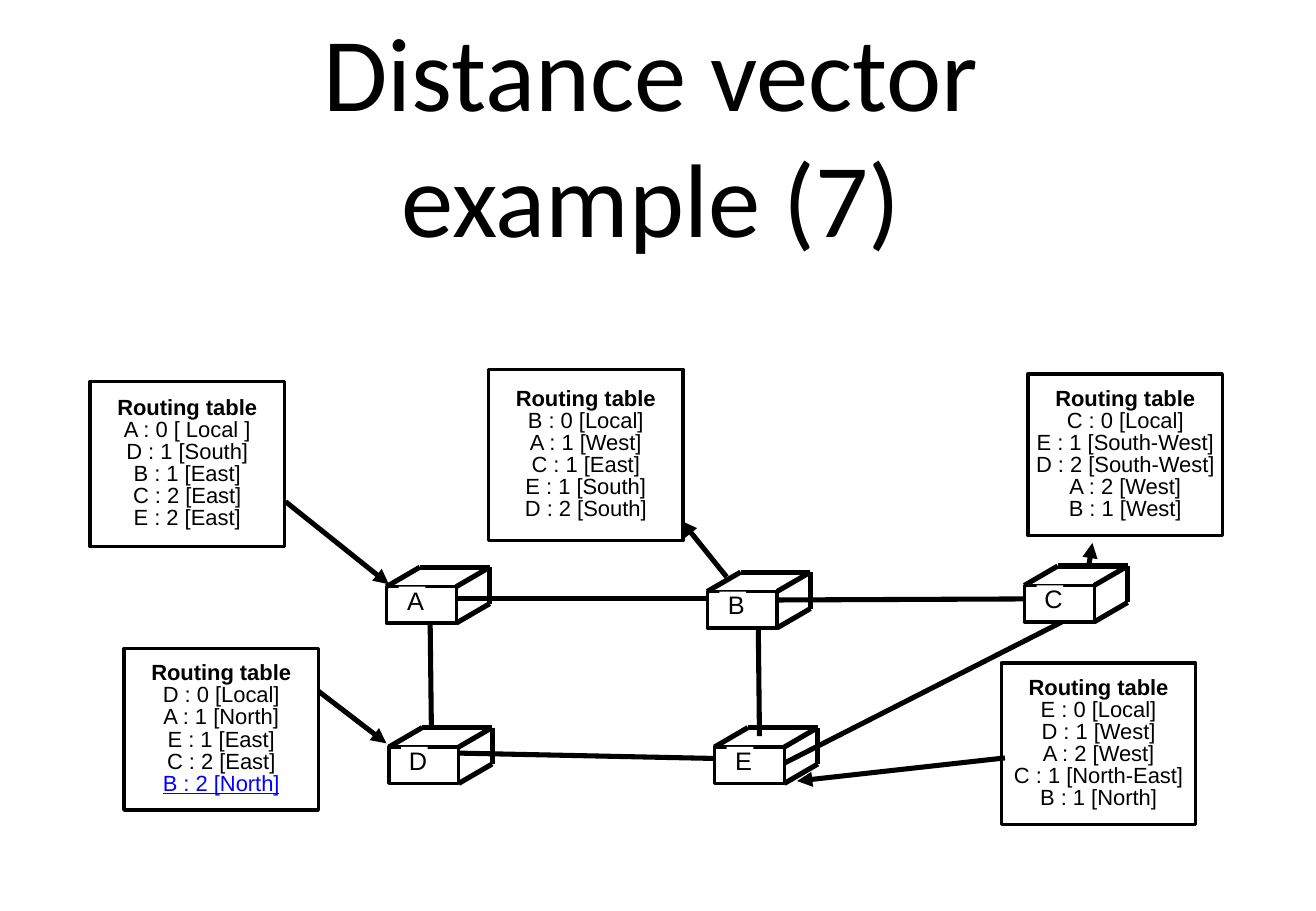
from lxml.etree import SubElement
from pptx import Presentation
from pptx.dml.color import RGBColor
from pptx.enum.shapes import MSO_CONNECTOR as Connector, MSO_SHAPE as Shape
from pptx.enum.text import MSO_ANCHOR as Anchor, PP_ALIGN as Align
from pptx.oxml.ns import qn
from pptx.util import Inches, Pt

CELLS_PER_INCH = 10
BLACK, WHITE, BLUE = "000000", "FFFFFF", "0000FF"

LINKS = [
    (35.4, 51.2, 35.5, 59.9),
    (37.7, 62, 61.6, 62.5),
    (37.2, 49.3, 61.3, 49.3),
    (62.4, 51.1, 62.5, 60.6),
    (64.6, 62.8, 87.4, 51.2),
    (63.5, 49.4, 86.3, 49.3),
]
ROUTERS = {
    "A": (31.8, 48.3),
    "B": (58.2, 48.7),
    "C": (84.3, 48.2),
    "D": (32, 61.5),
    "E": (58.8, 61.5),
}
TABLES = [
    (7.4, 31.4, 13.6, ["A : 0 [ Local ]", "D : 1 [South]", "B : 1 [East]",
                       "C : 2 [East]", "E : 2 [East]"]),
    (40.2, 30.4, 14.1, ["B : 0 [Local]", "A : 1 [West]", "C : 1 [East]",
                        "E : 1 [South]", "D : 2 [South]"]),
    (84.6, 30.8, 13.3, ["C : 0 [Local]", "E : 1 [South-West]",
                        "D : 2 [South-West]", "A : 2 [West]", "B : 1 [West]"]),
    (82.4, 54.6, 13.3, ["E : 0 [Local]", "D : 1 [West]", "A : 2 [West]",
                        "C : 1 [North-East]", "B : 1 [North]"]),
    (10.2, 53.4, 13.3, ["D : 0 [Local]", "A : 1 [North]", "E : 1 [East]",
                        "C : 2 [East]", "B : 2 [North]"]),
]
NEW_ROUTE = ("D : 0 [Local]", "B : 2 [North]")
ARROWS = [
    (23.5, 41.3, 32, 48.1),
    (59.8, 47.5, 56.1, 42.9),
    (89.6, 46.6, 89.9, 44.7),
    (26.2, 56.9, 31.8, 61.2),
    (82.7, 62.4, 65.6, 64.3),
]


def colour(value):
    return RGBColor.from_string(value)


def cells(*counts):
    return [Inches(count / CELLS_PER_INCH) for count in counts]


def write(para, text, font="Arial", size=13, color=BLACK, bold=False,
          underline=False, spacing=0.84):
    para.alignment = Align.CENTER
    para.line_spacing = spacing
    for index, line in enumerate(text.split("\n")):
        if index:
            para.add_line_break()
        span = para.add_run()
        span.text = line
        span.font.name = font
        span.font.size = Pt(size)
        span.font.bold = bold
        span.font.underline = underline
        span.font.color.rgb = colour(color)


class NetworkSlide:
    border, stroke = 2, 3
    front_width, front_height = 5.75, 3
    depth_across, depth_up = 2.75, 1.6

    def __init__(self, deck):
        self.page = deck.slides.add_slide(deck.slide_layouts[6])

    def frame(self, box, inset=0, wrap=True):
        frame = box.text_frame
        frame.word_wrap = wrap
        frame.vertical_anchor = Anchor.MIDDLE
        frame.margin_left = frame.margin_right = Inches(inset)
        frame.margin_top = frame.margin_bottom = Inches(inset)
        return frame

    def title(self, text):
        box = self.page.shapes.add_textbox(*cells(21.2, 4.3, 64.8, 13.2))
        para = self.frame(box, inset=0.04).paragraphs[0]
        write(para, text, font="Calibri", size=62, spacing=1.0)

    def line(self, start_x, start_y, end_x, end_y, shapes=None, arrow=False):
        target = self.page.shapes if shapes is None else shapes
        line = target.add_connector(
            Connector.STRAIGHT, *cells(start_x, start_y, end_x, end_y))
        line.line.color.rgb = colour(BLACK)
        line.line.width = Pt(self.stroke)
        if arrow:
            SubElement(line.line._get_or_add_ln(), qn("a:tailEnd"), type="triangle")
        SubElement(line._element.spPr, qn("a:effectLst"))

    def rectangle(self, shapes, left, top, width, height, fill=None, outlined=True):
        box = shapes.add_shape(Shape.RECTANGLE, *cells(left, top, width, height))
        box.shadow.inherit = False
        if fill:
            box.fill.solid()
            box.fill.fore_color.rgb = colour(fill)
        else:
            box.fill.background()
        if outlined:
            box.line.color.rgb = colour(BLACK)
            box.line.width = Pt(self.border)
        else:
            box.line.fill.background()
        return box

    def router(self, name, left, top):
        shapes = self.page.shapes.add_group_shape().shapes
        self.rectangle(shapes, left, top, self.front_width, self.front_height, WHITE)
        right, bottom = left + self.front_width, top + self.front_height
        back_left, back_right = left + self.depth_across, right + self.depth_across
        back_top, back_bottom = top - self.depth_up, bottom - self.depth_up
        for edge in [
            (left, top, back_left, back_top),
            (right, top, back_right, back_top),
            (right, bottom, back_right, back_bottom),
            (back_left, back_top, back_right, back_top),
            (back_right, back_top, back_right, back_bottom),
        ]:
            self.line(*edge, shapes=shapes)
        label = self.rectangle(shapes, left + 1, top, 2.2, 2.6, WHITE, outlined=False)
        frame = self.frame(label, wrap=False)
        frame.margin_left = Inches(0.06)
        write(frame.paragraphs[0], name, size=15)

    def routing_table(self, left, top, height, routes):
        box = self.rectangle(self.page.shapes, left, top, 16, height)
        frame = self.frame(box)
        write(frame.paragraphs[0], "Routing table", bold=True)
        for route in routes:
            is_new = (routes[0], route) == NEW_ROUTE
            write(frame.add_paragraph(), route,
                  color=BLUE if is_new else BLACK, underline=is_new)


def main():
    deck = Presentation()
    deck.slide_width, deck.slide_height = Inches(10.83), Inches(7.5)
    slide = NetworkSlide(deck)
    slide.title("Distance vector\nexample (7)")
    for link in LINKS:
        slide.line(*link)
    for name, corner in ROUTERS.items():
        slide.router(name, *corner)
    for table in TABLES:
        slide.routing_table(*table)
    for arrow in ARROWS:
        slide.line(*arrow, arrow=True)
    deck.save("out.pptx")


if __name__ == "__main__":
    main()
